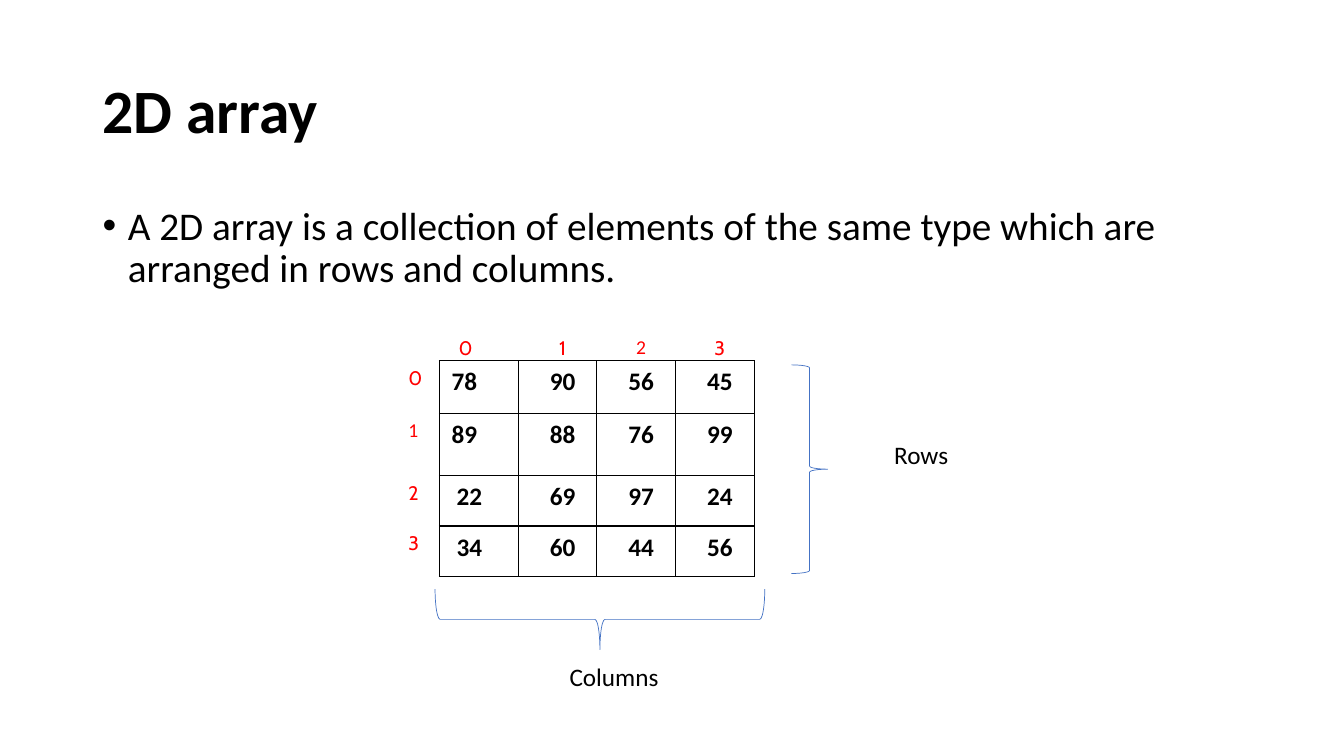
from lxml import etree
from pptx import Presentation
from pptx.dml.color import RGBColor
from pptx.enum.shapes import MSO_SHAPE
from pptx.enum.text import MSO_ANCHOR, PP_ALIGN
from pptx.oxml.ns import qn
from pptx.util import Inches, Pt

RIGHT_BRACE = MSO_SHAPE.RIGHT_BRACE
MIDDLE, TOP = MSO_ANCHOR.MIDDLE, MSO_ANCHOR.TOP
CENTER, LEFT = PP_ALIGN.CENTER, PP_ALIGN.LEFT

COLORS = {"text": "000000", "index": "FF0000", "paper": "FFFFFF", "brace": "4472C4"}

TITLE = "2D array"
DEFINITION = (
    "A 2D array is a collection of elements of the same type "
    "which are arranged in rows and columns."
)
VALUES = [
    [78, 90, 56, 45],
    [89, 88, 76, 99],
    [22, 69, 97, 24],
    [34, 60, 44, 56],
]
ARRAY_LEFT, ARRAY_TOP = 3.94, 3.06
COLUMN_WIDTHS = [0.42] + [0.78] * 4
ROW_HEIGHTS = [0.52, 0.52, 0.62, 0.5, 0.5]
FIRST_COLUMN_INDENTS = [0.18, 0.11, 0.11, 0.16, 0.16]
CALIBRI_INDEXES = {(0, 3), (2, 0)}
BRACES = [
    (7.85, 3.62, 0.36, 2.07, 0),
    (5.65, 4.51, 0.6, 3.27, 90),
]
BRACE_LABELS = [
    ("Rows", 8.77, 4.31, 0.8, 0.4),
    ("Columns", 5.55, 6.51, 1.12, 0.4),
]


def rgb(name):
    return RGBColor.from_string(COLORS[name])


def style(paragraph, size, color="text", bold=False, face="Calibri"):
    for run in paragraph.runs:
        run.font.size = Pt(size)
        run.font.name = face
        run.font.bold = bold
        run.font.color.rgb = rgb(color)


def add_text(slide, text, left, top, width, height, size, bold=False, anchor=TOP):
    box = slide.shapes.add_textbox(
        Inches(left), Inches(top), Inches(width), Inches(height)
    )
    frame = box.text_frame
    frame.word_wrap = True
    frame.vertical_anchor = anchor
    frame.text = text
    style(frame.paragraphs[0], size, bold=bold)
    return frame.paragraphs[0]


def add_bullet(paragraph):
    properties = paragraph._p.get_or_add_pPr()
    properties.set("marL", str(Inches(0.25)))
    properties.set("indent", str(-Inches(0.25)))
    etree.SubElement(properties, qn("a:buFont"), typeface="Arial")
    etree.SubElement(properties, qn("a:buChar"), char="•")


def add_borders(cell, row, column):
    if row and column:
        sides = "LRTB"
    elif column:
        sides = "B"
    else:
        sides = "R" if row else ""
    for side in sides:
        line = etree.SubElement(
            cell._tc.get_or_add_tcPr(), qn(f"a:ln{side}"), w=str(Pt(1))
        )
        fill = etree.SubElement(line, qn("a:solidFill"))
        etree.SubElement(fill, qn("a:srgbClr"), val=COLORS["text"])


def fill_cell(cell, row, column, text):
    add_borders(cell, row, column)
    cell.fill.solid()
    cell.fill.fore_color.rgb = rgb("paper")
    cell.margin_left = cell.margin_right = Inches(0.01)
    cell.margin_top, cell.margin_bottom = Inches(0.04), 0
    cell.text_frame.text = text
    paragraph = cell.text_frame.paragraphs[0]
    paragraph.alignment = CENTER if column > 1 else LEFT
    paragraph.line_spacing = 1.07 if row else 2.0
    indent = FIRST_COLUMN_INDENTS[row] if column == 1 else 0.1
    paragraph._p.get_or_add_pPr().set("marL", str(Inches(indent)))
    if row and column:
        style(paragraph, 18, bold=True)
    else:
        face = "Calibri" if (row, column) in CALIBRI_INDEXES else "Cabin"
        style(paragraph, 14, "index", face=face)


def add_array(slide):
    table = slide.shapes.add_table(
        len(ROW_HEIGHTS), len(COLUMN_WIDTHS),
        Inches(ARRAY_LEFT), Inches(ARRAY_TOP),
        Inches(sum(COLUMN_WIDTHS)), Inches(sum(ROW_HEIGHTS)),
    ).table
    table.first_row = table.horz_banding = False
    style_id = table._tbl.tblPr.find(qn("a:tableStyleId"))
    style_id.text = "{2D5ABB26-0587-4C30-8999-92F81FD0307C}"
    for column, width in zip(table.columns, COLUMN_WIDTHS):
        column.width = Inches(width)
    for row, height in zip(table.rows, ROW_HEIGHTS):
        row.height = Inches(height)
    header = [""] + list(range(len(VALUES[0])))
    grid = [header] + [[index] + values for index, values in enumerate(VALUES)]
    for row, entries in enumerate(grid):
        for column, entry in enumerate(entries):
            fill_cell(table.cell(row, column), row, column, str(entry))


def add_brace(slide, left, top, width, height, rotation):
    brace = slide.shapes.add_shape(
        RIGHT_BRACE, Inches(left), Inches(top), Inches(width), Inches(height)
    )
    brace.rotation = rotation
    brace.shadow.inherit = False
    brace.fill.background()
    brace.line.color.rgb = rgb("brace")
    brace.line.width = Pt(0.5)


def main():
    deck = Presentation()
    deck.slide_width, deck.slide_height = Inches(13.33), Inches(7.5)
    slide = deck.slides.add_slide(deck.slide_layouts[6])
    title = add_text(slide, TITLE, 0.92, 0.4, 11.5, 1.45, 44, True, MIDDLE)
    title.line_spacing = 0.9
    definition = add_text(slide, DEFINITION, 0.92, 2, 11.5, 4.76, 28)
    definition.line_spacing = 0.9
    add_bullet(definition)
    add_array(slide)
    for brace in BRACES:
        add_brace(slide, *brace)
    for label in BRACE_LABELS:
        add_text(slide, *label, size=18)
    deck.save("out.pptx")


if __name__ == "__main__":
    main()
